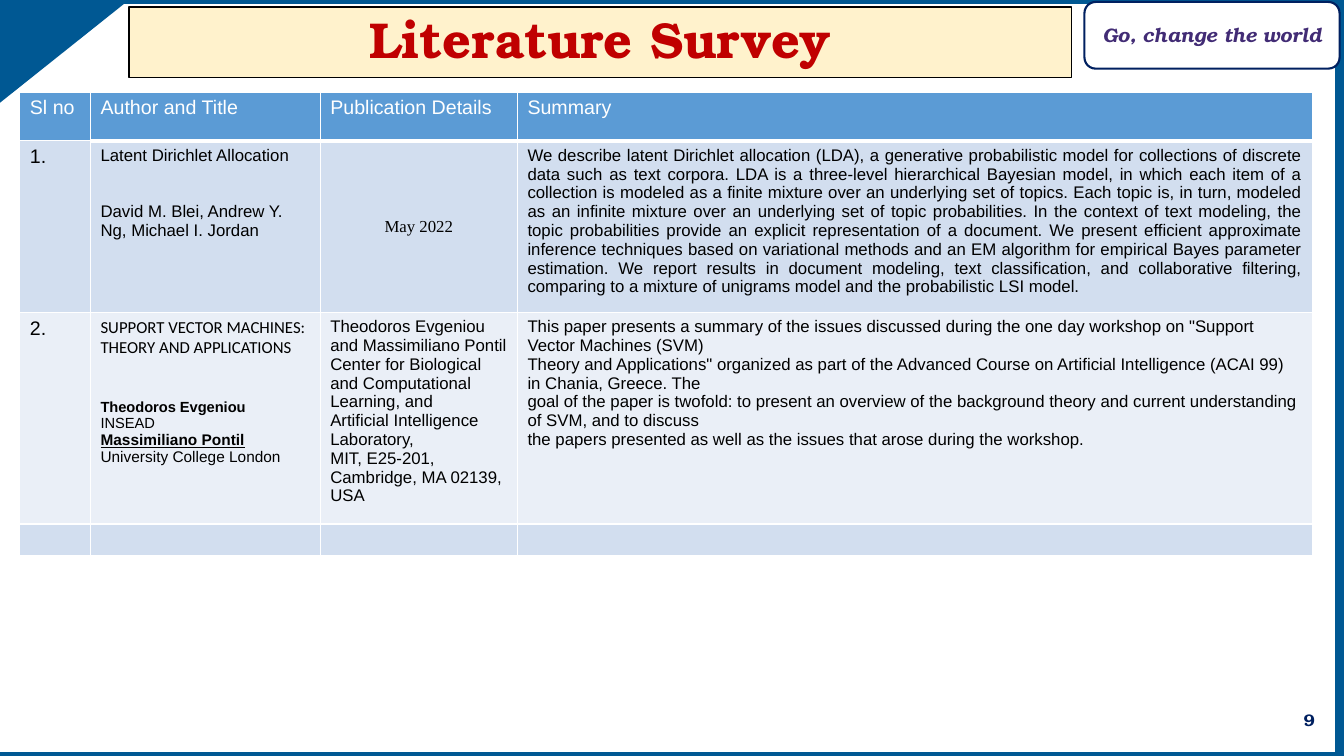
import pptx
import pptx.dml.color
import pptx.enum.shapes
import pptx.enum.text
import pptx.oxml
import pptx.oxml.ns
import pptx.util
from pptx.util import Cm

TITLE = "Literature Survey"
MOTTO = "Go, change the world"
PAGE_NUMBER = "9"
SERIF = "TeX Gyre Bonum"
BLUE, NAVY = "005893", "002060"

HEADER = ["Sl no", "Author and Title", "Publication Details", "Summary"]
LDA_SENTENCES = [
    "We describe latent Dirichlet allocation (LDA), a generative probabilistic model for "
    "collections of discrete data such as text corpora.",
    "LDA is a three-level hierarchical Bayesian model, in which each item of a collection is "
    "modeled as a finite mixture over an underlying set of topics.",
    "Each topic is, in turn, modeled as an infinite mixture over an underlying set of topic "
    "probabilities.",
    "In the context of text modeling, the topic probabilities provide an explicit "
    "representation of a document.",
    "We present efficient approximate inference techniques based on variational methods and an "
    "EM algorithm for empirical Bayes parameter estimation.",
    "We report results in document modeling, text classification, and collaborative filtering, "
    "comparing to a mixture of unigrams model and the probabilistic LSI model.",
]
LDA_ROW = [
    [("1.", dict(size=14))],
    [("Latent Dirichlet Allocation", {}),
     ("David M. Blei, Andrew Y. Ng, Michael I. Jordan", dict(before=27))],
    [("May 2022", dict(font="Times New Roman", align="CENTER"))],
    [(" ".join(LDA_SENTENCES), dict(align="JUSTIFY"))],
]
SVM_ROW = [
    [("2.", dict(size=14))],
    [("SUPPORT VECTOR MACHINES: THEORY AND APPLICATIONS", dict(font="Calibri")),
     ("Theodoros Evgeniou", dict(size=10.5, bold=True, before=29)),
     ("INSEAD", dict(size=10.5)),
     ("Massimiliano Pontil", dict(size=11, bold=True, underline=True)),
     ("University College London", dict(size=11))],
    [(line, {}) for line in [
        "Theodoros Evgeniou and Massimiliano Pontil",
        "Center for Biological and Computational Learning, and",
        "Artificial Intelligence Laboratory,",
        "MIT, E25-201,",
        "Cambridge, MA 02139,",
        "USA"]],
    [(line, {}) for line in [
        'This paper presents a summary of the issues discussed during the one day workshop on '
        '"Support Vector Machines (SVM)',
        'Theory and Applications" organized as part of the Advanced Course on Artificial '
        'Intelligence (ACAI 99) in Chania, Greece. The',
        'goal of the paper is twofold: to present an overview of the background theory and '
        'current understanding of SVM, and to discuss',
        'the papers presented as well as the issues that arose during the workshop.']],
]
ROWS = [
    [[(label, dict(size=14, color="FFFFFF"))] for label in HEADER],
    LDA_ROW,
    SVM_ROW,
    [[], [], [], []],
]
ROW_FILLS = ["5B9BD5", "D2DEEF", "EAEFF7", "D2DEEF"]
ROW_HEIGHTS = [1.23, 4.06, 4.99, 0.79]
COLUMN_WIDTHS = [1.78, 5.79, 4.97, 20.04]


def rgb(value):
    return pptx.dml.color.RGBColor.from_string(value)


def paint(shape, fill, line, width=1):
    shape.shadow.inherit = False
    shape.fill.solid()
    shape.fill.fore_color.rgb = rgb(fill)
    if line:
        shape.line.color.rgb = rgb(line)
        shape.line.width = pptx.util.Pt(width)
    else:
        shape.line.fill.background()


def write(para, text, size=12, font="Arial", color="000000", bold=False, italic=False,
          underline=False, align="LEFT", before=0):
    para.alignment = getattr(pptx.enum.text.PP_ALIGN, align)
    para.space_before = pptx.util.Pt(before)
    span = para.add_run()
    span.text = text
    span.font.size = pptx.util.Pt(size)
    span.font.name = font
    span.font.color.rgb = rgb(color)
    span.font.bold, span.font.italic, span.font.underline = bold, italic, underline


def add_label(page, area, text, **style):
    box = page.shapes.add_textbox(*map(Cm, area))
    frame = box.text_frame
    frame.word_wrap = True
    frame.vertical_anchor = pptx.enum.text.MSO_ANCHOR.MIDDLE
    write(frame.paragraphs[0], text, **style)
    return frame


def add_border(cell, side, width):
    properties = cell._tc.get_or_add_tcPr()
    properties.append(pptx.oxml.parse_xml(
        f'<a:ln{side} {pptx.oxml.ns.nsdecls("a")} w="{pptx.util.Pt(width)}">'
        f'<a:solidFill><a:srgbClr val="FFFFFF"/></a:solidFill></a:ln{side}>'))


def add_frame(page):
    preset = pptx.enum.shapes.MSO_SHAPE
    border = page.shapes.add_shape(preset.RECTANGLE, Cm(-0.1), 0, Cm(33.86), Cm(19.05))
    paint(border, "FFFFFF", BLUE, 6)
    outline = page.shapes.build_freeform(Cm(3.25), 0)
    outline.add_line_segments([(0, 0), (0, Cm(2.59))], close=True)
    paint(outline.convert_to_shape(), BLUE, None)
    badge = page.shapes.add_shape(
        preset.ROUNDED_RECTANGLE, Cm(27.33), Cm(0.05), Cm(6.43), Cm(1.68))
    paint(badge, "FFFFFF", NAVY, 1.5)
    motto = add_label(page, (27.66, 0.56, 5.79, 0.61), MOTTO, size=14, font=SERIF,
                      color="422C75", bold=True, italic=True, align="CENTER")
    motto.margin_left = motto.margin_right = motto.margin_top = motto.margin_bottom = 0


def add_title(page):
    title = page.shapes.title
    title.left, title.top, title.width, title.height = map(Cm, (3.25, 0.18, 23.75, 1.78))
    title.element.getparent().append(title.element)
    title.fill.solid()
    title.fill.fore_color.rgb = rgb("FFF2CC")
    title.line.color.rgb = rgb("000000")
    title.line.width = pptx.util.Pt(1)
    frame = title.text_frame
    frame.auto_size = pptx.enum.text.MSO_AUTO_SIZE.NONE
    frame.vertical_anchor = pptx.enum.text.MSO_ANCHOR.MIDDLE
    para = frame.paragraphs[0]
    para.line_spacing = 0.9
    write(para, TITLE, size=36, font=SERIF, color="C00000", bold=True, align="CENTER")


def add_survey(page):
    table = page.shapes.add_table(
        len(ROWS), len(HEADER), Cm(0.5), Cm(2.32),
        Cm(sum(COLUMN_WIDTHS)), Cm(sum(ROW_HEIGHTS))).table
    for column, width in zip(table.columns, COLUMN_WIDTHS):
        column.width = Cm(width)
    for row_index, row in enumerate(ROWS):
        table.rows[row_index].height = Cm(ROW_HEIGHTS[row_index])
        for column_index, paragraphs in enumerate(row):
            cell = table.cell(row_index, column_index)
            for side in "LRTB":
                under_header = row_index == 0 and column_index > 0 and side == "B"
                if not (row_index == 1 and side == "T"):
                    add_border(cell, side, 3 if under_header else 1)
            cell.fill.solid()
            cell.fill.fore_color.rgb = rgb(ROW_FILLS[row_index])
            if not paragraphs:
                cell.margin_top = cell.margin_bottom = 0
            for index, (text, style) in enumerate(paragraphs):
                frame = cell.text_frame
                para = frame.add_paragraph() if index else frame.paragraphs[0]
                write(para, text, **style)
    table.cell(1, 2).vertical_anchor = pptx.enum.text.MSO_ANCHOR.MIDDLE


def main():
    deck = pptx.Presentation()
    deck.slide_width, deck.slide_height = Cm(33.87), Cm(19.05)
    page = deck.slides.add_slide(deck.slide_layouts[5])
    add_frame(page)
    add_title(page)
    add_label(page, (25.76, 17.63, 7.62, 1.02), PAGE_NUMBER, size=12, font=SERIF,
              color=NAVY, bold=True, align="RIGHT")
    add_survey(page)
    deck.save("out.pptx")


if __name__ == "__main__":
    main()
